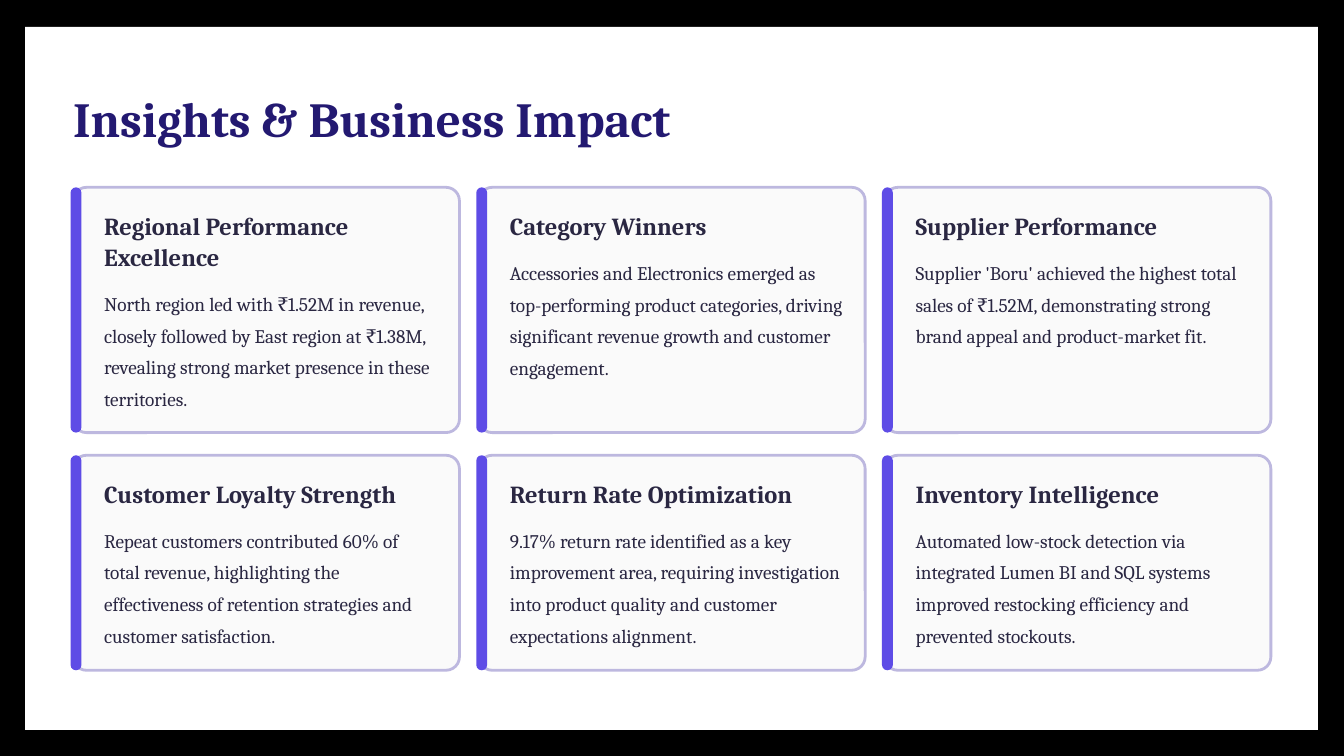
"""Build the Insights & Business Impact slide with six cards on a grid."""
from lxml.etree import SubElement
from pptx import Presentation
from pptx.dml.color import RGBColor
from pptx.enum.shapes import MSO_SHAPE
from pptx.enum.text import MSO_ANCHOR, MSO_AUTO_SIZE, PP_ALIGN
from pptx.oxml.ns import qn
from pptx.util import Inches, Pt

WHITE, BLACK = "FFFFFF", "000000"
NAVY, INK, VIOLET = "231971", "2A2742", "5E4CE6"
CARD_FILL, CARD_LINE = "FAFAFA", "BDB8DF"

LEFT, COLUMN_STEP, CARD_WIDTH = 0.87, 4.83, 4.6
ROWS = [(2.23, 2.92), (5.42, 2.56)]
COLUMNS = 3
CORNER = 0.16
BAR_WIDTH, BAR_OFFSET = 0.13, 0.03
INDENT, PADDING, TEXT_WIDTH = 0.37, 0.27, 3.96
HEADING_LINE, HEADING_GAP, BODY_HEIGHT = 0.37, 0.14, 1.51

CARDS = [
    ("Regional Performance Excellence", 2,
     "North region led with ₹1.52M in revenue, closely followed by East region at ₹1.38M, "
     "revealing strong market presence in these territories."),
    ("Category Winners", 1,
     "Accessories and Electronics emerged as top-performing product categories, driving "
     "significant revenue growth and customer engagement."),
    ("Supplier Performance", 1,
     "Supplier 'Boru' achieved the highest total sales of ₹1.52M, demonstrating strong "
     "brand appeal and product-market fit."),
    ("Customer Loyalty Strength", 1,
     "Repeat customers contributed 60% of total revenue, highlighting the effectiveness of "
     "retention strategies and customer satisfaction."),
    ("Return Rate Optimization", 1,
     "9.17% return rate identified as a key improvement area, requiring investigation into "
     "product quality and customer expectations alignment."),
    ("Inventory Intelligence", 1,
     "Automated low-stock detection via integrated Lumen BI and SQL systems improved "
     "restocking efficiency and prevented stockouts."),
]


def write_text(shape, text, *, size, spacing, color=INK, bold=False, wrap=True):
    frame = shape.text_frame
    frame.margin_left = frame.margin_top = frame.margin_right = frame.margin_bottom = 0
    frame.auto_size = MSO_AUTO_SIZE.NONE
    frame.vertical_anchor = MSO_ANCHOR.TOP
    frame.word_wrap = wrap
    paragraph = frame.paragraphs[0]
    paragraph.alignment = PP_ALIGN.LEFT
    paragraph.line_spacing = Pt(spacing)
    paragraph.space_before = Pt(0)
    run = paragraph.add_run()
    run.text = text
    run.font.name = "Cambria"
    run.font.size = Pt(size)
    run.font.bold = bold
    run.font.color.rgb = RGBColor.from_string(color)


def add_block(kind, left, top, width, height, *, fill, line=None, corner=None):
    shape = slide.shapes.add_shape(kind, Inches(left), Inches(top), Inches(width), Inches(height))
    shape.shadow.inherit = False
    shape.fill.solid()
    shape.fill.fore_color.rgb = RGBColor.from_string(fill)
    if line:
        shape.line.color.rgb = RGBColor.from_string(line)
        shape.line.width = Pt(2.4)
    else:
        shape.line.fill.background()
    if corner is not None:
        shape.adjustments[0] = corner
    return shape


presentation = Presentation()
presentation.slide_width, presentation.slide_height = Inches(16), Inches(9)
slide = presentation.slides.add_slide(presentation.slide_layouts[5])
slide.background.fill.solid()
slide.background.fill.fore_color.rgb = RGBColor.from_string(BLACK)

title = slide.shapes.title
title.left, title.top, title.width, title.height = map(Inches, (LEFT, 1.02, 7.19, 0.74))
write_text(title, "Insights & Business Impact", size=42, spacing=53, color=NAVY, bold=True, wrap=False)
panel = add_block(MSO_SHAPE.RECTANGLE, 0.3, 0.32, 15.39, 8.37, fill=WHITE)
title.element.addprevious(panel.element)

for index, (heading, heading_lines, body) in enumerate(CARDS):
    row, column = divmod(index, COLUMNS)
    top, height = ROWS[row]
    left = LEFT + column * COLUMN_STEP
    card = add_block(MSO_SHAPE.ROUNDED_RECTANGLE, left, top, CARD_WIDTH, height,
                     fill=CARD_FILL, line=CARD_LINE, corner=CORNER / height)
    card_color = card.element.spPr.find(qn("a:solidFill")).find(qn("a:srgbClr"))
    SubElement(card_color, qn("a:alpha"), val="95000")
    add_block(MSO_SHAPE.ROUNDED_RECTANGLE, left - BAR_OFFSET, top, BAR_WIDTH, height,
              fill=VIOLET, corner=0.5)

    text_left, heading_top = left + INDENT, top + PADDING
    heading_height = heading_lines * HEADING_LINE
    body_top = heading_top + heading_height + HEADING_GAP
    heading_box = slide.shapes.add_textbox(
        Inches(text_left), Inches(heading_top), Inches(TEXT_WIDTH), Inches(heading_height))
    write_text(heading_box, heading, size=21, spacing=26.5, bold=True)
    body_box = slide.shapes.add_textbox(
        Inches(text_left), Inches(body_top), Inches(TEXT_WIDTH), Inches(BODY_HEIGHT))
    write_text(body_box, body, size=16.5, spacing=27)

presentation.save("out.pptx")
